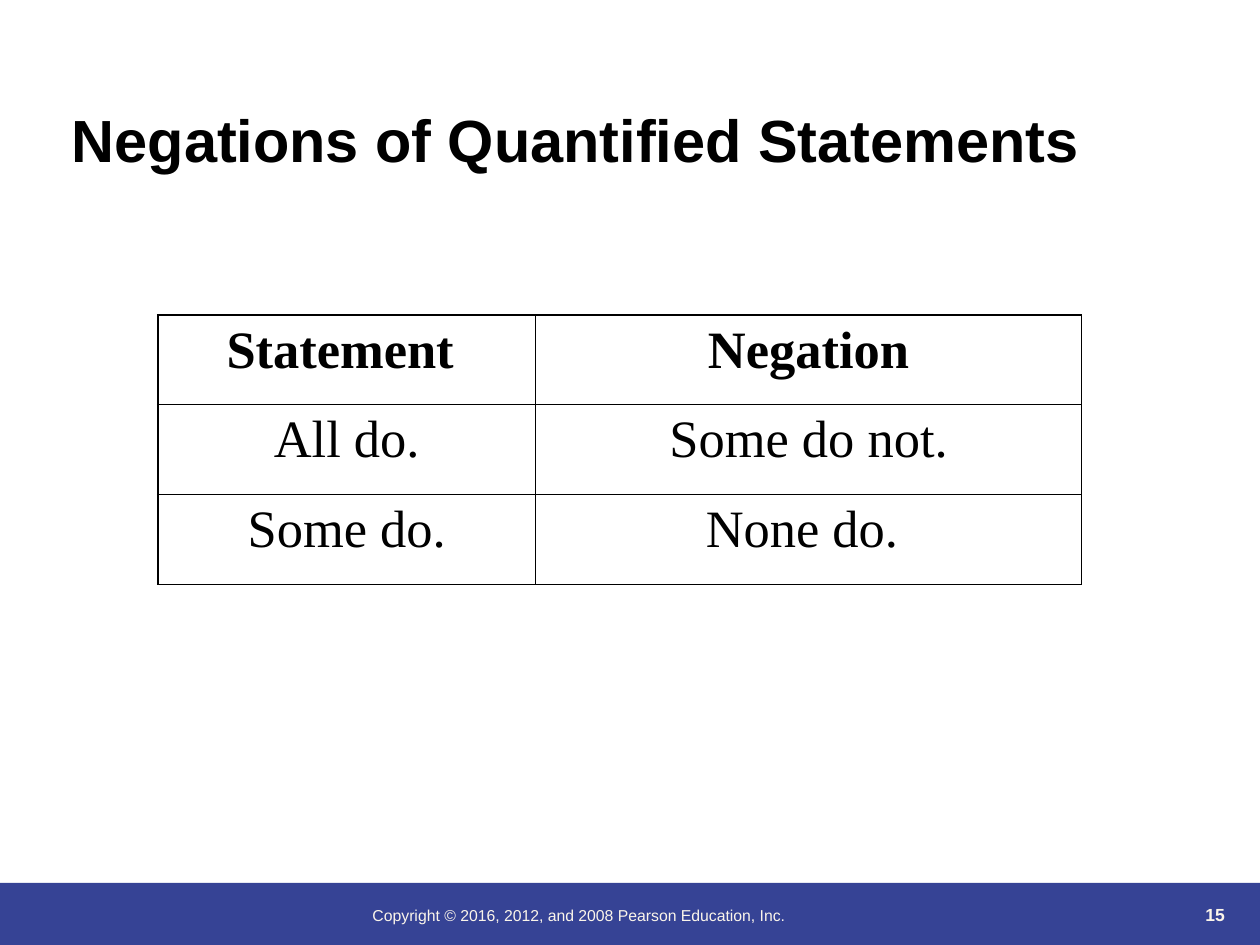
from dataclasses import dataclass

from lxml.etree import SubElement
from pptx import Presentation
from pptx.dml.color import RGBColor
from pptx.enum.shapes import MSO_SHAPE
from pptx.enum.text import MSO_ANCHOR, PP_ALIGN
from pptx.oxml.ns import qn
from pptx.util import Cm, Pt

BLACK = RGBColor(0x00, 0x00, 0x00)
BAND_BLUE = RGBColor(0x36, 0x43, 0x95)
CREAM = RGBColor(0xFB, 0xF5, 0xEA)

THIN, THICK = Pt(0.45), Pt(1.08)
COL_WIDTHS = (7.62, 11.0)
ROW_HEIGHT = 1.81
# The trailing spaces shift the centred words slightly to the left.
ROWS = (
    ("Statement ", "Negation"),
    ("All do.", "Some do not."),
    ("Some do.", "None do. "),
)


@dataclass
class FooterText:
    text: str
    left: float
    top: float
    width: float
    size: float
    bold: bool
    align: PP_ALIGN
    anchor: MSO_ANCHOR


FOOTER = (
    FooterText("Copyright © 2016, 2012, and 2008 Pearson Education, Inc.",
               7.26, 18.14, 12.5, 9, False, PP_ALIGN.LEFT, MSO_ANCHOR.TOP),
    FooterText("15", 22.6, 17.5, 2.34, 10, True, PP_ALIGN.RIGHT, MSO_ANCHOR.BOTTOM),
)


def set_text(tf, text: str, align: PP_ALIGN, color: RGBColor, **font) -> None:
    p = tf.paragraphs[0]
    p.alignment = align
    r = p.add_run()
    r.text = text
    for name, value in font.items():
        setattr(r.font, name, value)
    r.font.color.rgb = color


def add_footer_text(s, item: FooterText) -> None:
    box = s.shapes.add_textbox(Cm(item.left), Cm(item.top), Cm(item.width), Cm(1.27))
    tf = box.text_frame
    tf.word_wrap = True
    tf.vertical_anchor = item.anchor
    set_text(tf, item.text, item.align, CREAM,
             name="Arial", size=Pt(item.size), bold=item.bold)


def set_borders(cell, widths: dict[str, int]) -> None:
    """Draw black cell borders; must run before the cell's fill is set."""
    tc_pr = cell._tc.get_or_add_tcPr()
    for tag, width in widths.items():
        ln = SubElement(tc_pr, qn(f"a:{tag}"), w=str(int(width)))
        fill = SubElement(ln, qn("a:solidFill"))
        SubElement(fill, qn("a:srgbClr"), val=str(BLACK))


def add_negation_table(s) -> None:
    n_rows, n_cols = len(ROWS), len(COL_WIDTHS)
    table = s.shapes.add_table(n_rows, n_cols, Cm(3.18), Cm(6.35),
                               Cm(sum(COL_WIDTHS)), Cm(ROW_HEIGHT * n_rows)).table
    table.horz_banding = False
    for col, width in zip(table.columns, COL_WIDTHS):
        col.width = Cm(width)
    for i, row in enumerate(ROWS):
        table.rows[i].height = Cm(ROW_HEIGHT)
        for j, text in enumerate(row):
            cell = table.cell(i, j)
            on_edge = {"lnL": j == 0, "lnR": j == n_cols - 1,
                       "lnT": i == 0, "lnB": i == n_rows - 1}
            set_borders(cell, {tag: THICK if edge else THIN
                               for tag, edge in on_edge.items()})
            cell.fill.background()
            set_text(cell.text_frame, text, PP_ALIGN.CENTER, BLACK,
                     name="Times New Roman", size=Pt(30), bold=i == 0)


def add_title(s, text: str) -> None:
    title = s.shapes.title
    title.left, title.top, title.width, title.height = Cm(1.27), Cm(0.46), Cm(22.86), Cm(3.18)
    tf = title.text_frame
    tf.vertical_anchor = MSO_ANCHOR.BOTTOM
    tf.margin_left = Cm(0.18)
    set_text(tf, text, PP_ALIGN.LEFT, BLACK, name="Arial", size=Pt(34), bold=True)


def add_footer_band(s, prs) -> None:
    top = Cm(17.8)
    band = s.shapes.add_shape(MSO_SHAPE.RECTANGLE, 0, top,
                              prs.slide_width, prs.slide_height - top)
    band.shadow.inherit = False
    band.fill.solid()
    band.fill.fore_color.rgb = BAND_BLUE
    band.line.fill.background()


def main() -> None:
    prs = Presentation()
    prs.slide_width, prs.slide_height = Cm(25.4), Cm(19.05)
    s = prs.slides.add_slide(prs.slide_layouts.get_by_name("Title Only"))
    add_footer_band(s, prs)
    for item in FOOTER:
        add_footer_text(s, item)
    add_negation_table(s)
    add_title(s, "Negations of Quantified Statements")
    prs.save("out.pptx")


if __name__ == "__main__":
    main()
